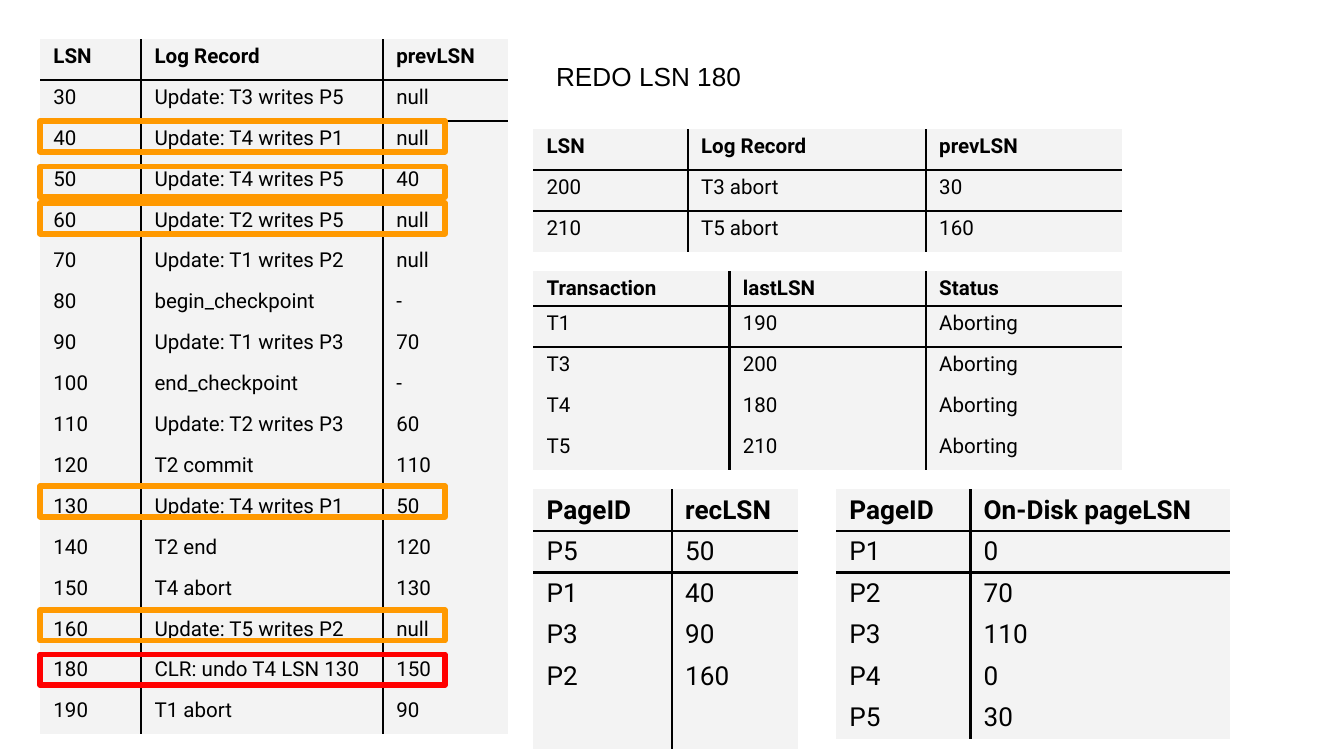
from dataclasses import dataclass

from lxml.etree import SubElement
from pptx import Presentation
from pptx.dml.color import RGBColor
from pptx.enum.shapes import MSO_SHAPE
from pptx.enum.text import MSO_ANCHOR, MSO_AUTO_SIZE, PP_ALIGN
from pptx.oxml.ns import qn
from pptx.util import Cm, Pt

BLACK, GREY, ORANGE, RED = "000000", "F3F3F3", "FF9900", "FF0000"
ROW_HEIGHT = 0.773
RULED_ROWS = (0, 1)  # rows with a line underneath
RIGHT_TABLES_LEFT = 10.08


@dataclass
class Grid:
    left: float
    top: float
    widths: list[float]
    rows: list[tuple[str, ...]]
    size: int = 11
    header_height: float = ROW_HEIGHT
    last_height: float = ROW_HEIGHT


@dataclass
class Highlight:
    top: float
    color: str = ORANGE


LOG = Grid(0.76, 0.74, [1.91, 4.57, 2.36], [
    ("LSN", "Log Record", "prevLSN"),
    ("30", "Update: T3 writes P5", "null"),
    ("40", "Update: T4 writes P1", "null"),
    ("50", "Update: T4 writes P5", "40"),
    ("60", "Update: T2 writes P5", "null"),
    ("70", "Update: T1 writes P2", "null"),
    ("80", "begin_checkpoint", "-"),
    ("90", "Update: T1 writes P3", "70"),
    ("100", "end_checkpoint", "-"),
    ("110", "Update: T2 writes P3", "60"),
    ("120", "T2 commit", "110"),
    ("130", "Update: T4 writes P1", "50"),
    ("140", "T2 end", "120"),
    ("150", "T4 abort", "130"),
    ("160", "Update: T5 writes P2", "null"),
    ("180", "CLR: undo T4 LSN 130", "150"),
    ("190", "T1 abort", "90"),
])
TRANSACTIONS = Grid(RIGHT_TABLES_LEFT, 5.13, [3.71] * 3, [
    ("Transaction", "lastLSN", "Status"),
    ("T1", "190", "Aborting"),
    ("T3", "200", "Aborting"),
    ("T4", "180", "Aborting"),
    ("T5", "210", "Aborting"),
], header_height=0.64)
DIRTY_PAGES = Grid(RIGHT_TABLES_LEFT, 9.25, [2.62, 2.39], [
    ("PageID", "recLSN"),
    ("P5", "50"),
    ("P1", "40"),
    ("P3", "90"),
    ("P2", "160"),
    ("", ""),
], size=14, last_height=0.93)
NEW_RECORDS = Grid(RIGHT_TABLES_LEFT, 2.44, [2.92, 4.5, 3.71], [
    ("LSN", "Log Record", "prevLSN"),
    ("200", "T3 abort", "30"),
    ("210", "T5 abort", "160"),
])
DISK_PAGES = Grid(15.8, 9.25, [2.54, 4.9], [
    ("PageID", "On-Disk pageLSN"),
    ("P1", "0"),
    ("P2", "70"),
    ("P3", "110"),
    ("P4", "0"),
    ("P5", "30"),
], size=14)
HIGHLIGHTS = [Highlight(top) for top in (2.29, 3.15, 3.84, 9.19, 11.53)]
HIGHLIGHTS.append(Highlight(12.37, RED))


def rgb(color: str) -> RGBColor:
    return RGBColor.from_string(color)


def set_font(font, name: str, size: int, bold: bool = False) -> None:
    font.name = name
    font.size = Pt(size)
    font.bold = bold
    font.color.rgb = rgb(BLACK)


def set_borders(cell, visible: dict[str, bool]) -> None:
    """Write the four cell borders; call this before the cell is filled."""
    properties = cell._tc.get_or_add_tcPr()
    for side in "LRTB":
        line = SubElement(properties, qn(f"a:ln{side}"), w=str(Pt(1.5)))
        if visible[side]:
            fill = SubElement(line, qn("a:solidFill"))
            SubElement(fill, qn("a:srgbClr"), val=BLACK)
        else:
            SubElement(line, qn("a:noFill"))


def draw_grid(page, grid: Grid) -> None:
    row_count, column_count = len(grid.rows), len(grid.widths)
    heights = [ROW_HEIGHT] * row_count
    heights[0], heights[-1] = grid.header_height, grid.last_height
    table = page.shapes.add_table(
        row_count, column_count, Cm(grid.left), Cm(grid.top),
        Cm(sum(grid.widths)), Cm(sum(heights))).table
    table.first_row = table.horz_banding = False
    for column, width in zip(table.columns, grid.widths):
        column.width = Cm(width)
    for row, height in zip(table.rows, heights):
        row.height = Cm(height)

    for i, texts in enumerate(grid.rows):
        for j, text in enumerate(texts):
            cell = table.cell(i, j)
            set_borders(cell, {"L": j > 0, "R": j < column_count - 1,
                               "T": i - 1 in RULED_ROWS, "B": i in RULED_ROWS})
            cell.fill.solid()
            cell.fill.fore_color.rgb = rgb(GREY)
            cell.margin_left = cell.margin_right = Cm(0.25)
            cell.margin_top = cell.margin_bottom = Cm(0.1)
            cell.text_frame.text = text
            for span in cell.text_frame.paragraphs[0].runs:
                set_font(span.font, "Roboto", grid.size, bold=i == 0)


def draw_highlight(page, highlight: Highlight) -> None:
    box = page.shapes.add_shape(MSO_SHAPE.RECTANGLE, Cm(0.76),
                                Cm(highlight.top), Cm(7.65), Cm(0.58))
    box.shadow.inherit = False
    box.fill.background()
    box.line.color.rgb = rgb(highlight.color)
    box.line.width = Pt(3)


def write_title(page, text: str) -> None:
    title = page.shapes.title
    title.left, title.top = Cm(10.26), Cm(0.89)
    title.width, title.height = Cm(14.33), Cm(1.12)
    frame = title.text_frame
    frame.text = text
    frame.word_wrap = True
    frame.auto_size = MSO_AUTO_SIZE.NONE
    frame.vertical_anchor = MSO_ANCHOR.TOP
    frame.margin_left = frame.margin_right = Cm(0.25)
    frame.margin_top = frame.margin_bottom = Cm(0.25)
    para = frame.paragraphs[0]
    para.alignment = PP_ALIGN.LEFT
    set_font(para.runs[0].font, "Arial", 14)


def main() -> None:
    deck = Presentation()
    deck.slide_width, deck.slide_height = Cm(25.4), Cm(14.29)
    page = deck.slides.add_slide(deck.slide_layouts[5])
    write_title(page, "REDO LSN 180")
    for grid in (LOG, TRANSACTIONS, DIRTY_PAGES, NEW_RECORDS, DISK_PAGES):
        draw_grid(page, grid)
    for highlight in HIGHLIGHTS:
        draw_highlight(page, highlight)
    deck.save("out.pptx")


if __name__ == "__main__":
    main()
